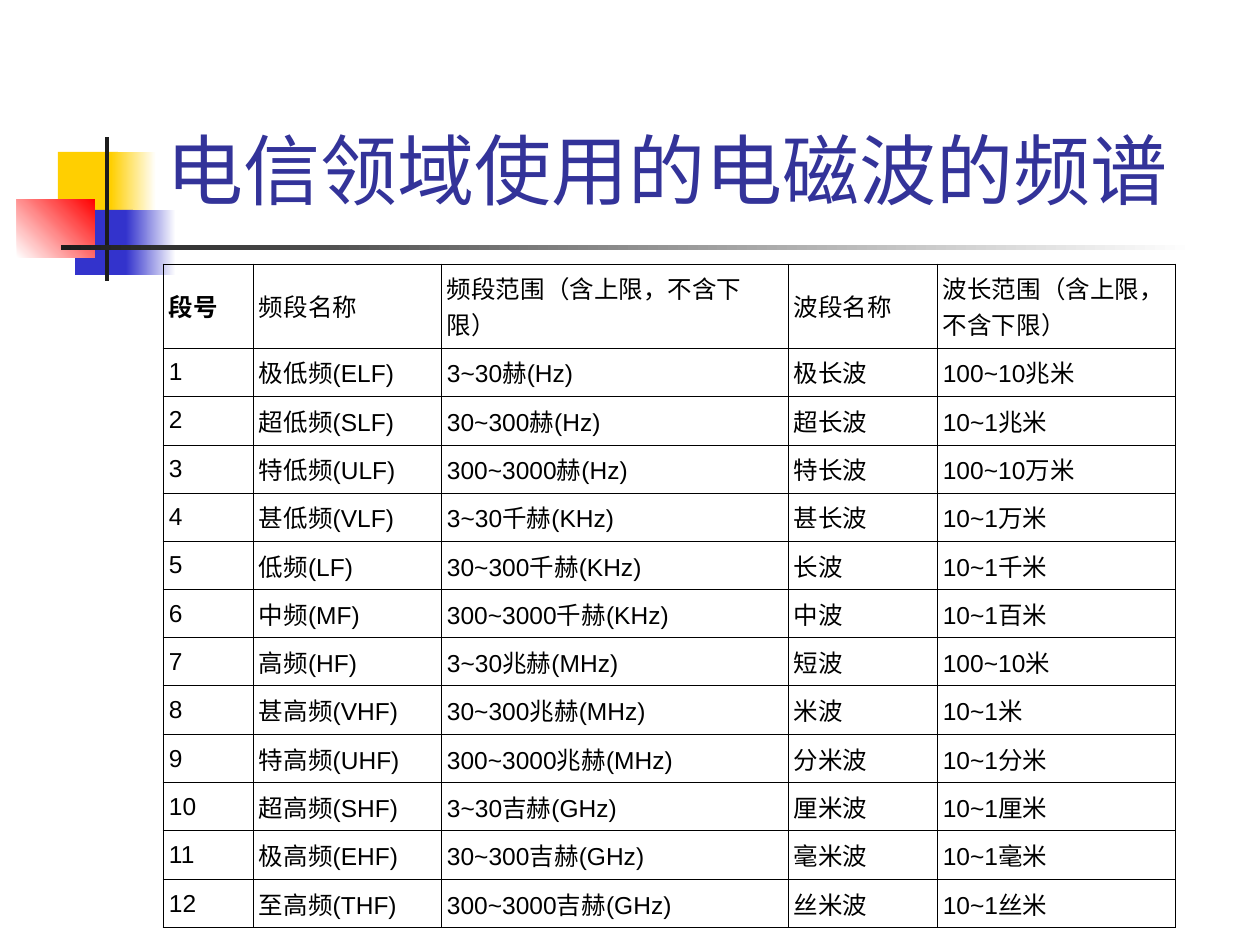
from typing import NamedTuple, Optional

from lxml.etree import SubElement
from pptx import Presentation
from pptx.dml.color import RGBColor
from pptx.enum.shapes import MSO_SHAPE as Shape
from pptx.enum.text import MSO_ANCHOR as Anchor
from pptx.oxml.ns import qn
from pptx.util import Emu, Pt

FONT = "Arial"
EMU_PER_PX = 914400 / 126
TITLE = "电信领域使用的电磁波的频谱"
COLUMNS = [90, 188, 347, 149, 238]
HEADER_HEIGHT = 84
ROW_HEIGHTS = [48, 49, 48]


class Block(NamedTuple):
    x: int
    y: int
    w: int
    h: int
    color: str
    end: Optional[str] = None
    angle: int = 0


class Band(NamedTuple):
    name: str
    frequency: str
    wave: str
    length: str


BLOCKS = [
    Block(58, 152, 60, 65, "FFCF01"),
    Block(111, 152, 45, 65, "FFCF01", "FFFFFF"),
    Block(75, 210, 58, 65, "3333CC"),
    Block(126, 210, 50, 65, "3333CC", "FFFFFF"),
    Block(17, 199, 78, 59, "FFFFFF", "FF0000", 45),
    Block(105, 137, 4, 144, "1C1C1C"),
    Block(61, 245, 1134, 5, "1C1C1C", "FFFFFF"),
]

HEADER = ["段号", "频段名称", "频段范围（含上限，不含下限）", "波段名称", "波长范围（含上限，不含下限）"]
BANDS = [
    Band("极低频(ELF)", "3~30赫(Hz)", "极长波", "100~10兆米"),
    Band("超低频(SLF)", "30~300赫(Hz)", "超长波", "10~1兆米"),
    Band("特低频(ULF)", "300~3000赫(Hz)", "特长波", "100~10万米"),
    Band("甚低频(VLF)", "3~30千赫(KHz)", "甚长波", "10~1万米"),
    Band("低频(LF)", "30~300千赫(KHz)", "长波", "10~1千米"),
    Band("中频(MF)", "300~3000千赫(KHz)", "中波", "10~1百米"),
    Band("高频(HF)", "3~30兆赫(MHz)", "短波", "100~10米"),
    Band("甚高频(VHF)", "30~300兆赫(MHz)", "米波", "10~1米"),
    Band("特高频(UHF)", "300~3000兆赫(MHz)", "分米波", "10~1分米"),
    Band("超高频(SHF)", "3~30吉赫(GHz)", "厘米波", "10~1厘米"),
    Band("极高频(EHF)", "30~300吉赫(GHz)", "毫米波", "10~1毫米"),
    Band("至高频(THF)", "300~3000吉赫(GHz)", "丝米波", "10~1丝米"),
]


def px(n: int) -> Emu:
    return Emu(round(n * EMU_PER_PX))


def rgb(color: str) -> RGBColor:
    return RGBColor.from_string(color)


def format_text(tf, size: int, color: str, bold: bool = False) -> None:
    for p in tf.paragraphs:
        for r in p.runs:
            r.font.name, r.font.size, r.font.bold = FONT, Pt(size), bold
            r.font.color.rgb = rgb(color)


def draw_block(s, block: Block) -> None:
    sp = s.shapes.add_shape(Shape.RECTANGLE, px(block.x), px(block.y), px(block.w), px(block.h))
    sp.shadow.inherit = False
    sp.line.fill.background()
    if block.end is None:
        sp.fill.solid()
        sp.fill.fore_color.rgb = rgb(block.color)
        return
    sp.fill.gradient()
    sp.fill.gradient_angle = block.angle
    for stop, position, color in zip(sp.fill.gradient_stops, (0, 1), (block.color, block.end)):
        stop.position = position
        stop.color.rgb = rgb(color)


def draw_title(s) -> None:
    tf = s.shapes.add_textbox(px(154), px(56), px(1074), px(165)).text_frame
    tf.word_wrap = True
    tf.vertical_anchor = Anchor.BOTTOM
    tf.text = TITLE
    format_text(tf, 44, "333399")


def add_borders(cell, color: str, width: float) -> None:
    tc_pr = cell._tc.get_or_add_tcPr()
    for side in ("a:lnL", "a:lnR", "a:lnT", "a:lnB"):
        ln = SubElement(tc_pr, qn(side), w=str(Pt(width)))
        SubElement(SubElement(ln, qn("a:solidFill")), qn("a:srgbClr"), val=color)


def fill_cell(cell, text: str, bold: bool) -> None:
    cell.text = text
    cell.vertical_anchor = Anchor.MIDDLE
    cell.margin_left = cell.margin_right = cell.margin_top = cell.margin_bottom = px(6)
    add_borders(cell, "000000", 0.45)
    cell.fill.background()
    format_text(cell.text_frame, 14, "000000", bold)


def draw_table(s) -> None:
    rows = [HEADER] + [[str(i), *band] for i, band in enumerate(BANDS, 1)]
    heights = [HEADER_HEIGHT] + ROW_HEIGHTS * (len(BANDS) // len(ROW_HEIGHTS))
    table = s.shapes.add_table(
        len(rows), len(COLUMNS), px(163), px(264), px(sum(COLUMNS)), px(sum(heights))
    ).table
    table.first_row = table.horz_banding = False
    for column, width in zip(table.columns, COLUMNS):
        column.width = px(width)
    for i, (row, height) in enumerate(zip(rows, heights)):
        table.rows[i].height = px(height)
        for j, text in enumerate(row):
            fill_cell(table.cell(i, j), text, bold=i == j == 0)


def main() -> None:
    """Build the slide on the radio spectrum bands."""
    prs = Presentation()
    prs.slide_width, prs.slide_height = px(1260), px(945)
    s = prs.slides.add_slide(prs.slide_layouts[6])
    for block in BLOCKS:
        draw_block(s, block)
    draw_title(s)
    draw_table(s)
    prs.save("out.pptx")


if __name__ == "__main__":
    main()
